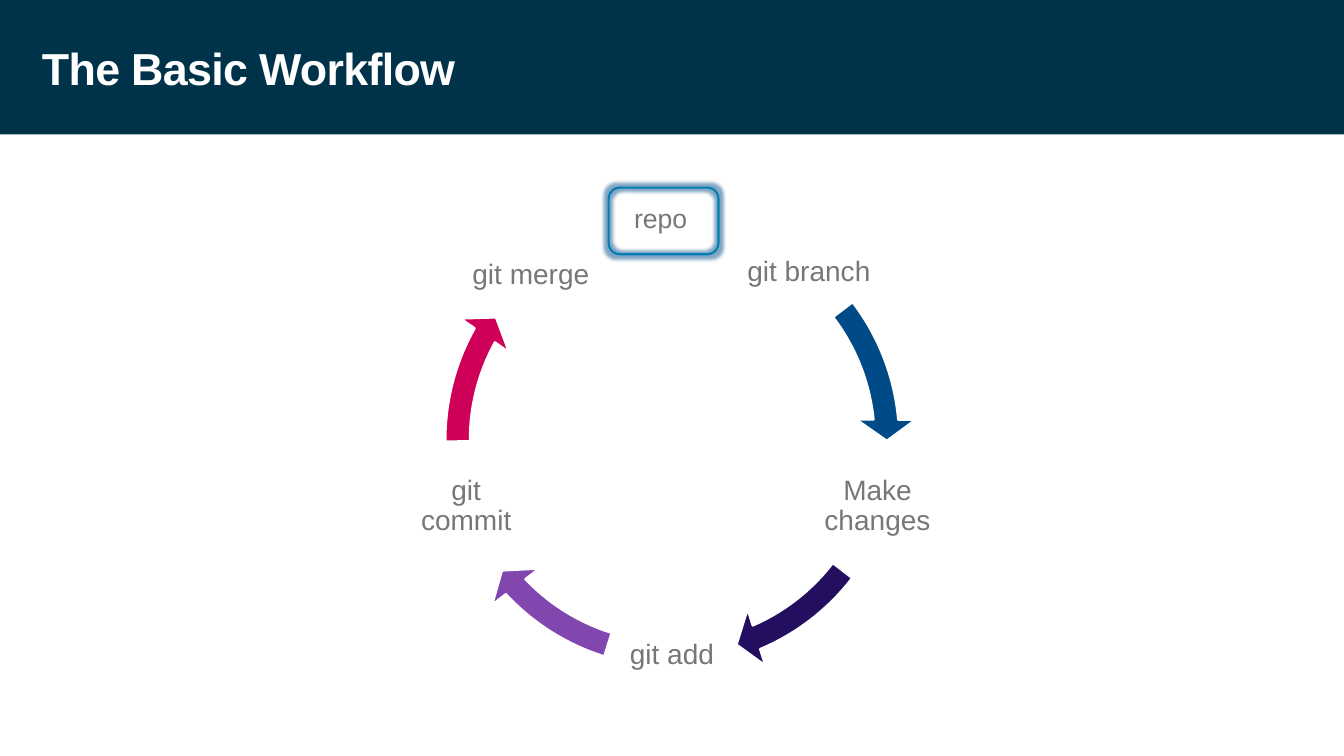
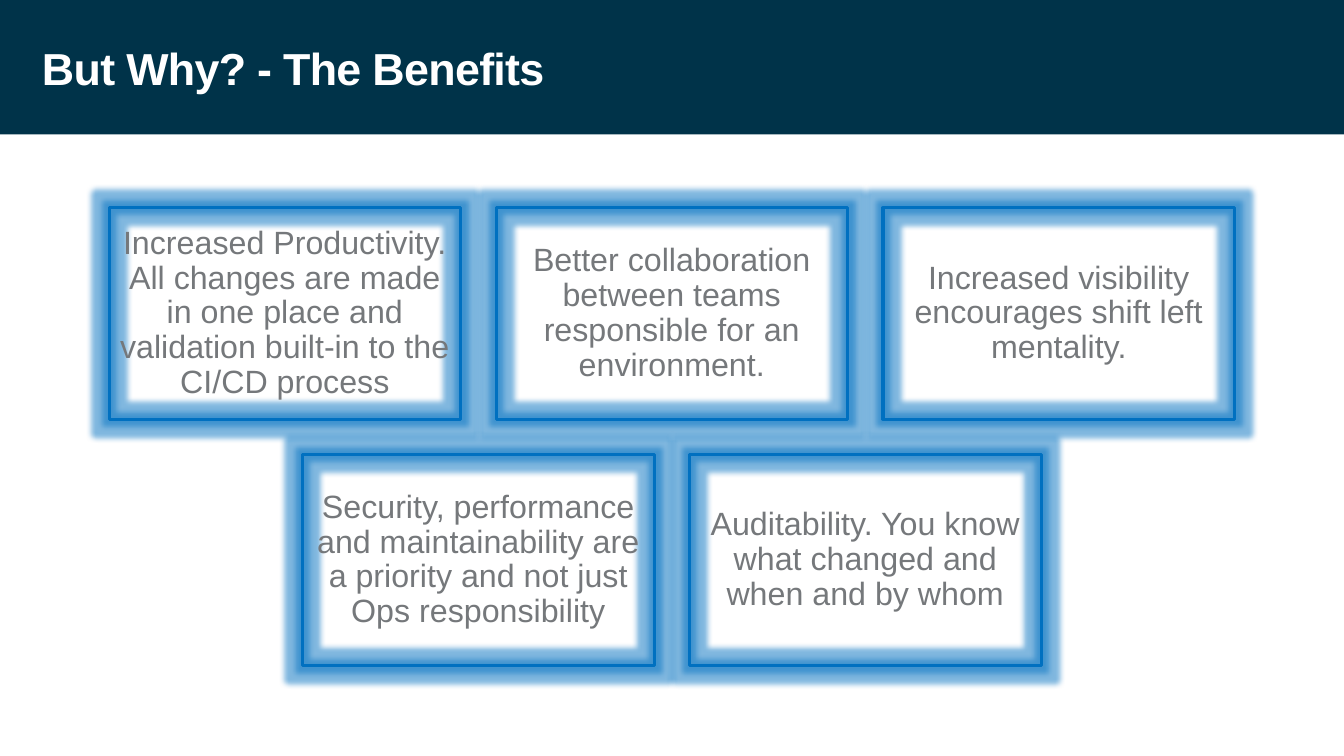
from dataclasses import dataclass

from lxml import etree
from pptx import Presentation
from pptx.dml.color import RGBColor
from pptx.enum.shapes import MSO_SHAPE
from pptx.enum.text import MSO_ANCHOR, PP_ALIGN
from pptx.oxml.ns import qn
from pptx.shapes.autoshape import Shape
from pptx.slide import Slide
from pptx.util import Pt

RECTANGLE = MSO_SHAPE.RECTANGLE
ROUNDED = MSO_SHAPE.ROUNDED_RECTANGLE
CIRCULAR_ARROW = MSO_SHAPE.CIRCULAR_ARROW
MIDDLE = MSO_ANCHOR.MIDDLE
CENTER = PP_ALIGN.CENTER
LEFT = PP_ALIGN.LEFT

FONT = "Arial"
COLORS = {
    "band": "003349",
    "white": "FFFFFF",
    "body": "75787B",
    "repo": "007FB6",
    "repo_glow": "004B87",
    "benefit": "0070C0",
    "branch": "004B87",
    "change": "230E60",
    "add": "8246AF",
    "commit": "CE0058",
}
SLIDE_W, SLIDE_H = 960, 540
BAND_H = 96

CYCLE_LEFT, CYCLE_TOP, CYCLE_SIZE = 306, 140, 348.4
STEP_W = 93
ARROW_THICKNESS, ARROW_HEAD_ANGLE, ARROW_HEAD_WIDTH = 0.05, 3.36, 0.06

BENEFIT_W, BENEFIT_H, BENEFIT_GAP = 251.2, 151, 25.2
BENEFITS_TOP = 148.4


@dataclass(frozen=True)
class Step:
    text: str
    center_x: float
    center_y: float
    height: float


@dataclass(frozen=True)
class Arrow:
    """Angles are in units of 100000/60000 degrees, clockwise from the right."""
    color: str
    end: float
    start: float


STEPS = [
    Step("git branch", 577.8, 194.4, 54),
    Step("Make changes", 626.8, 361.8, 93),
    Step("git add", 480, 468.4, 93),
    Step("git commit", 333, 361.8, 93),
    Step("git merge", 379.2, 196.9, 58),
]
ARROWS = [
    Arrow("branch", 212.77, 193.6),
    Arrow("change", 40.16, 22.52),
    Arrow("add", 82.13, 64.48),
    Arrow("commit", 125.5, 107.77),
]
BENEFIT_ROWS = [
    [
        "Increased Productivity.\nAll changes are made in one place and "
        "validation built-in to the CI/CD process",
        "Better collaboration between teams responsible for an environment.",
        "Increased visibility encourages shift left mentality.",
    ],
    [
        "Security, performance and maintainability are a priority and not just "
        "Ops responsibility",
        "Auditability. You know what changed and when and by whom",
    ],
]


def rgb(color: str) -> RGBColor:
    return RGBColor.from_string(COLORS[color])


def write(shape: Shape, text: str, size: float, color: str = "body",
          align: PP_ALIGN = CENTER, inset: float = 0,
          spacing: float = 0.9, bold: bool = False) -> None:
    frame = shape.text_frame
    frame.word_wrap = True
    frame.vertical_anchor = MIDDLE
    frame.margin_left = frame.margin_right = Pt(inset)
    frame.margin_top = frame.margin_bottom = Pt(inset)
    paragraph = frame.paragraphs[0]
    paragraph.text = text
    paragraph.alignment = align
    paragraph.line_spacing = spacing
    font = paragraph.font
    font.name, font.size, font.bold = FONT, Pt(size), bold
    font.color.rgb = rgb(color)


def add_text(slide: Slide, x: float, y: float, w: float, h: float) -> Shape:
    return slide.shapes.add_textbox(Pt(x), Pt(y), Pt(w), Pt(h))


def add_shape(slide: Slide, kind: MSO_SHAPE, x: float, y: float, w: float, h: float,
              fill: str | None = None, line: str | None = None,
              line_width: float = 1.5) -> Shape:
    shape = slide.shapes.add_shape(kind, Pt(x), Pt(y), Pt(w), Pt(h))
    shape.shadow.inherit = False
    if fill:
        shape.fill.solid()
        shape.fill.fore_color.rgb = rgb(fill)
    else:
        shape.fill.background()
    if line:
        shape.line.color.rgb = rgb(line)
        shape.line.width = Pt(line_width)
    else:
        shape.line.fill.background()
    return shape


def add_glow(shape: Shape, color: str, radius: float) -> None:
    effects = shape.element.spPr.find(qn("a:effectLst"))
    glow = etree.SubElement(effects, qn("a:glow"), rad=str(Pt(radius)))
    tint = etree.SubElement(glow, qn("a:srgbClr"), val=COLORS[color])
    etree.SubElement(tint, qn("a:alpha"), val="50000")


def add_titled_slide(deck: Presentation, title: str) -> Slide:
    slide = deck.slides.add_slide(deck.slide_layouts[6])
    add_shape(slide, RECTANGLE, 0, 0, SLIDE_W, BAND_H, fill="band")
    heading = add_text(slide, 30, 18, 762, 61)
    write(heading, title, 32, "white", LEFT, spacing=1, bold=True)
    run = heading.text_frame.paragraphs[0].runs[0]
    run.font._element.set("spc", "-50")
    return slide


def build_workflow(deck: Presentation) -> None:
    slide = add_titled_slide(deck, "The Basic Workflow")
    for arrow in ARROWS:
        shape = add_shape(slide, CIRCULAR_ARROW, CYCLE_LEFT, CYCLE_TOP,
                          CYCLE_SIZE, CYCLE_SIZE, fill=arrow.color, line="white")
        values = (ARROW_THICKNESS, ARROW_HEAD_ANGLE, arrow.end, arrow.start,
                  ARROW_HEAD_WIDTH)
        for index, value in enumerate(values):
            shape.adjustments[index] = value
    for step in STEPS:
        label = add_text(slide, step.center_x - STEP_W / 2,
                         step.center_y - step.height / 2, STEP_W, step.height)
        write(label, step.text, 20, inset=2)
    repo = add_shape(slide, ROUNDED, 434.8, 134, 78.4, 47.6, line="repo")
    add_glow(repo, "repo_glow", 5)
    write(add_text(slide, 440.6, 140.4, 62.6, 30.2), "repo", 19, inset=3.6, spacing=1)


def build_benefits(deck: Presentation) -> None:
    slide = add_titled_slide(deck, "But Why? - The Benefits")
    pitch = BENEFIT_W + BENEFIT_GAP
    for row, benefits in enumerate(BENEFIT_ROWS):
        left = (SLIDE_W - len(benefits) * pitch + BENEFIT_GAP) / 2
        top = BENEFITS_TOP + row * (BENEFIT_H + BENEFIT_GAP)
        for column, benefit in enumerate(benefits):
            box = add_shape(slide, RECTANGLE, left + column * pitch, top,
                            BENEFIT_W, BENEFIT_H, line="benefit", line_width=2.25)
            add_glow(box, "benefit", 8)
            write(box, benefit, 23, inset=6.9)


def main() -> None:
    deck = Presentation()
    deck.slide_width, deck.slide_height = Pt(SLIDE_W), Pt(SLIDE_H)
    build_workflow(deck)
    build_benefits(deck)
    deck.save("out.pptx")


if __name__ == "__main__":
    main()
